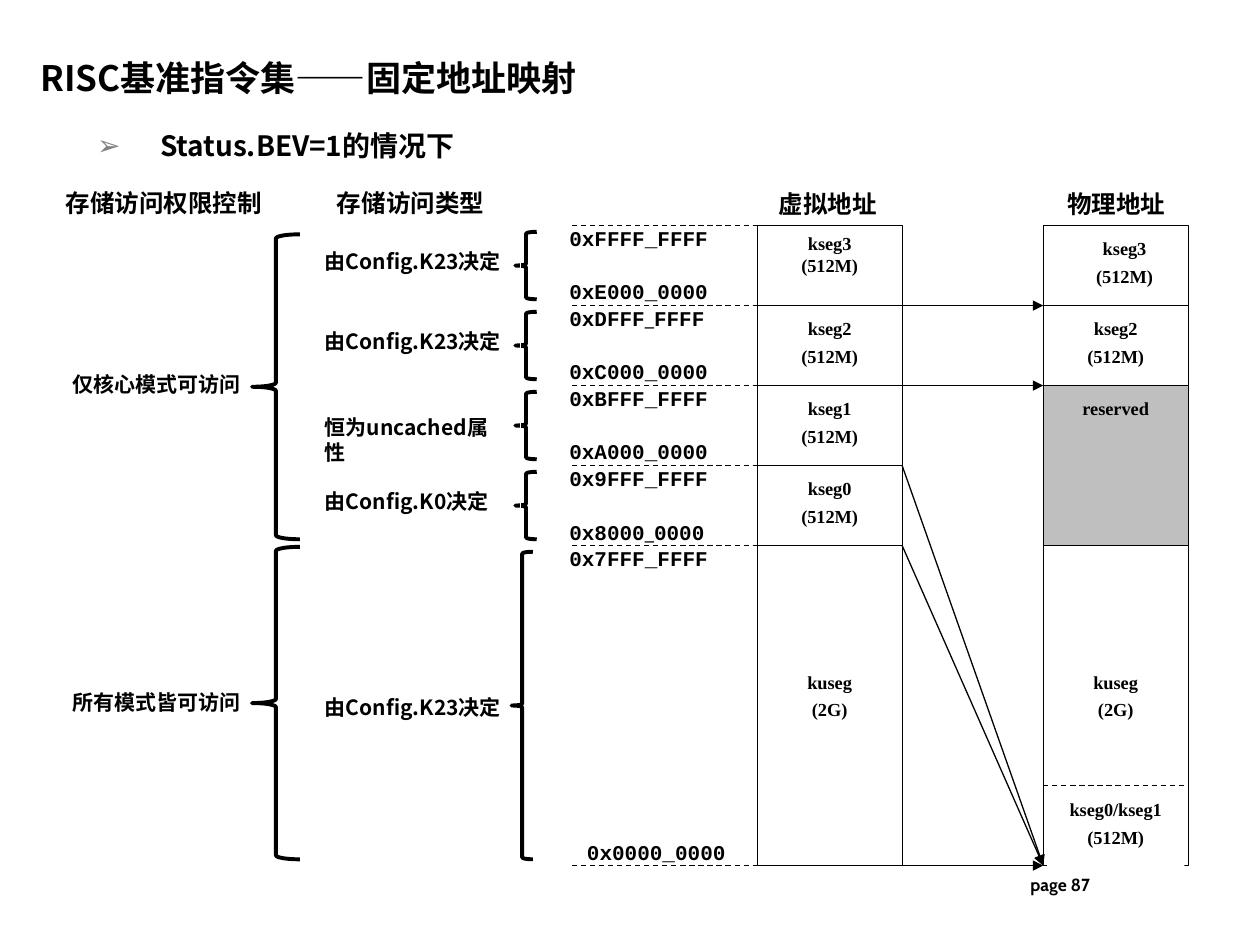
from dataclasses import dataclass

from lxml import etree
from pptx import Presentation
from pptx.dml.color import RGBColor
from pptx.enum.dml import MSO_LINE
from pptx.enum.shapes import MSO_CONNECTOR, MSO_SHAPE
from pptx.enum.text import MSO_ANCHOR, MSO_AUTO_SIZE, PP_ALIGN
from pptx.oxml.ns import qn
from pptx.util import Inches, Pt

LEFT, CENTER, RIGHT, JUSTIFY = PP_ALIGN.LEFT, PP_ALIGN.CENTER, PP_ALIGN.RIGHT, PP_ALIGN.JUSTIFY
TOP, MIDDLE, BOTTOM = MSO_ANCHOR.TOP, MSO_ANCHOR.MIDDLE, MSO_ANCHOR.BOTTOM
DASH = MSO_LINE.DASH
RECTANGLE, BRACE = MSO_SHAPE.RECTANGLE, MSO_SHAPE.LEFT_BRACE
STRAIGHT = MSO_CONNECTOR.STRAIGHT


@dataclass(frozen=True)
class Theme:
    ink = RGBColor(0, 0, 0)
    paper = RGBColor(255, 255, 255)
    reserved = RGBColor(0xBF, 0xBF, 0xBF)
    bullet = "808080"
    sans, serif, mono, footer = "Noto Sans CJK SC", "Times New Roman", "Courier New", "Cabin"
    title, subtitle, heading, label, segment, page = 20, 16, 14, 12, 10.5, 10
    loose = 1.25


THEME = Theme()

# Content
TITLE = "RISC基准指令集——固定地址映射"
SUBTITLE = "Status.BEV=1的情况下"
PAGE = "page 87"
# name, size, first row, rows, line spacing, indent; one row is 512M
VIRTUAL = [
    ("kseg3", "(512M)", 0, 1, 1, 0),
    ("kseg2", "(512M)", 1, 1, THEME.loose, 0),
    ("kseg1", "(512M)", 2, 1, THEME.loose, 0),
    ("kseg0", "(512M)", 3, 1, THEME.loose, 0),
    ("kuseg", "(2G)", 4, 4, THEME.loose, 0),
]
PHYSICAL = [
    ("kseg3", "(512M)", 0, 1, THEME.loose, 0.14),
    ("kseg2", "(512M)", 1, 1, THEME.loose, 0),
    ("reserved", "", 2, 2, THEME.loose, 0),
    ("kuseg", "(2G)", 4, 4, THEME.loose, 0),
]
SHARED = "kseg0/kseg1\n(512M)"
# row edge, address above the edge, address below it
ADDRESSES = [
    (0, "", "0xFFFF_FFFF"),
    (1, "0xE000_0000", "0xDFFF_FFFF"),
    (2, "0xC000_0000", "0xBFFF_FFFF"),
    (3, "0xA000_0000", "0x9FFF_FFFF"),
    (4, "0x8000_0000", "0x7FFF_FFFF"),
    (8, "0x0000_0000", ""),
]
SERIF_UNDERSCORE = {"0xDFFF_FFFF", "0x8000_0000"}
MAPPINGS = [(1, 1), (2, 2), (3, 8), (4, 8), (8, 8)]
# text, top, white outline
ACCESS_TYPES = [
    ("由Config.K23决定", 1.92, True),
    ("由Config.K23决定", 2.56, True),
    ("恒为uncached属性", 3.24, True),
    ("由Config.K0决定", 3.83, True),
    ("由Config.K23决定", 5.46, False),
]
# text, text top, brace top, brace height
PERMISSIONS = [("仅核心模式可访问", 2.9, 1.86, 2.42), ("所有模式皆可访问", 5.42, 4.34, 2.48)]
ADDRESS_HEADINGS = [("虚拟地址", 5.94), ("物理地址", 8.23)]
ACCESS_HEADINGS = [("存储访问权限控制", 0.35), ("存储访问类型", 2.31)]

# Grid
MAP_TOP, ROW = 1.79, 0.635
COLUMN = 1.15
VIRTUAL_X, PHYSICAL_X = 6.01, 8.28
ADDRESS_X = 4.54


def edge(row):
    return MAP_TOP + row * ROW


def write(shape, text, size, font, align=LEFT, anchor=TOP, spacing=1, indent=0):
    frame = shape.text_frame
    frame.text = text
    frame.word_wrap = True
    frame.auto_size = MSO_AUTO_SIZE.NONE
    frame.vertical_anchor = anchor
    for paragraph in frame.paragraphs:
        paragraph.alignment = align
        paragraph.line_spacing = spacing
        paragraph.space_before = Pt(0)
        if indent:
            paragraph._p.get_or_add_pPr().set("indent", str(Inches(indent)))
        for span in paragraph.runs:
            style(span, size, font)
    return frame


def style(span, size, font):
    span.font.size, span.font.name, span.font.bold = Pt(size), font, True
    span.font.color.rgb = THEME.ink
    properties = span._r.get_or_add_rPr()
    properties.find(qn("a:latin")).addnext(
        etree.Element(qn("a:ea"), typeface=THEME.sans))


def place(shape, *box):
    shape.left, shape.top, shape.width, shape.height = map(Inches, box)


def add_text(page, box, text, size, font, **options):
    shape = page.shapes.add_textbox(*map(Inches, box))
    write(shape, text, size, font, **options)
    return shape


def outline_white(shape):
    shape.line.color.rgb = THEME.paper
    shape.line.width = Pt(0.75)


def add_block(page, box, text, fill, bordered=True, **options):
    block = page.shapes.add_shape(RECTANGLE, *map(Inches, box))
    block.shadow.inherit = False
    block.fill.solid()
    block.fill.fore_color.rgb = fill
    if bordered:
        block.line.color.rgb = THEME.ink
        block.line.width = Pt(0.5)
    else:
        block.line.fill.background()
    return write(block, text, THEME.segment, THEME.serif, align=CENTER, **options)


def add_column(page, left, segments):
    for name, size, row, rows, spacing, indent in segments:
        tall = rows == 4
        fill = THEME.paper if size else THEME.reserved
        frame = add_block(page, (left, edge(row), COLUMN, rows * ROW),
                          "\n".join(filter(None, (name, size))), fill,
                          anchor=MIDDLE if tall else TOP, spacing=spacing, indent=indent)
        if tall:
            frame.margin_bottom = Inches(0.25)


def add_line(page, start, end, dashed=False):
    line = page.shapes.add_connector(STRAIGHT, *map(Inches, (*start, *end)))
    line.line.color.rgb = THEME.ink
    line.line.width = Pt(0.75)
    if dashed:
        line.line.dash_style = DASH
    else:
        etree.SubElement(line.line._get_or_add_ln(), qn("a:tailEnd"), type="triangle")
    etree.SubElement(line._element.spPr, qn("a:effectLst"))


def add_brace(page, *box):
    brace = page.shapes.add_shape(BRACE, *map(Inches, box))
    brace.shadow.inherit = False
    brace.fill.background()
    brace.line.color.rgb = THEME.ink
    brace.line.width = Pt(2.25)


def add_address(page, left, top, address):
    box = add_text(page, (left, top, 1.84, 0.39), address, THEME.label, THEME.mono,
                   align=JUSTIFY, spacing=THEME.loose, indent=0.14)
    if address in SERIF_UNDERSCORE:
        paragraph = box.text_frame.paragraphs[0]
        head, tail = address.split("_")
        paragraph.runs[0].text = head
        for text, size, font in (("_", THEME.segment, THEME.serif),
                                 (tail, THEME.label, THEME.mono)):
            span = paragraph.add_run()
            span.text = text
            style(span, size, font)


def main():
    deck = Presentation()
    deck.slide_width, deck.slide_height = Inches(10), Inches(7.5)
    page = deck.slides.add_slide(deck.slide_layouts[1])

    # Title, subtitle and page number
    title, body = page.placeholders
    place(title, 0.24, 0.38, 5.87, 0.44)
    frame = write(title, TITLE, THEME.title, THEME.sans, anchor=BOTTOM)
    frame.margin_left = frame.margin_right = Inches(0.08)
    frame.margin_top = frame.margin_bottom = Inches(0.04)
    place(body, 0.17, 0.84, 9.39, 0.46)
    frame = write(body, SUBTITLE, THEME.subtitle, THEME.sans, spacing=1.5, indent=-0.5)
    paragraph = frame.paragraphs[0]
    paragraph.level = 1
    properties = paragraph._p.get_or_add_pPr()
    properties.set("marL", str(Inches(1)))
    color = etree.SubElement(properties, qn("a:buClr"))
    etree.SubElement(color, qn("a:srgbClr"), val=THEME.bullet)
    etree.SubElement(properties, qn("a:buChar"), char="➢")
    add_text(page, (6.42, 6.82, 2.33, 0.4), PAGE, THEME.page, THEME.footer,
             align=RIGHT, anchor=MIDDLE)

    # Address maps
    add_column(page, VIRTUAL_X, VIRTUAL)
    add_column(page, PHYSICAL_X, PHYSICAL)
    add_block(page, (PHYSICAL_X + 0.03, edge(7) + 0.01, COLUMN - 0.06, ROW), SHARED,
              THEME.paper, bordered=False, spacing=THEME.loose)
    add_line(page, (PHYSICAL_X, edge(7)), (PHYSICAL_X + COLUMN, edge(7)), dashed=True)
    for row, above, below in ADDRESSES:
        add_line(page, (ADDRESS_X, edge(row)), (ADDRESS_X + 1.52, edge(row)), dashed=True)
        if above:
            add_address(page, 4.28 if below else 4.42, edge(row) - 0.31, above)
        if below:
            add_address(page, 4.28, edge(row) - 0.1, below)
    for source, target in MAPPINGS:
        add_line(page, (VIRTUAL_X + COLUMN, edge(source)), (PHYSICAL_X, edge(target)))
    for text, left in ADDRESS_HEADINGS:
        add_text(page, (left, 1.39, 1.29, 0.39), text, THEME.heading, THEME.serif,
                 align=JUSTIFY, spacing=THEME.loose, indent=0.14)

    # Access types and permissions
    for _, _, row, rows, _, _ in VIRTUAL:
        add_brace(page, 4.09 if rows == 1 else 4.06, edge(row) + 0.05, 0.17, rows * ROW - 0.1)
    for text, top, outlined in ACCESS_TYPES:
        box = add_text(page, (2.48, top, 1.65, 0.3), text, THEME.label, THEME.sans)
        if outlined:
            outline_white(box)
    for text, left in ACCESS_HEADINGS:
        outline_white(add_text(page, (left, 1.44, 1.9, 0.34), text, THEME.heading,
                               THEME.sans, align=CENTER))
    for text, top, brace_top, height in PERMISSIONS:
        add_brace(page, 2, brace_top, 0.38, height)
        add_text(page, (0.48, top, 1.65, 0.3), text, THEME.label, THEME.sans)

    deck.save("out.pptx")


if __name__ == "__main__":
    main()
